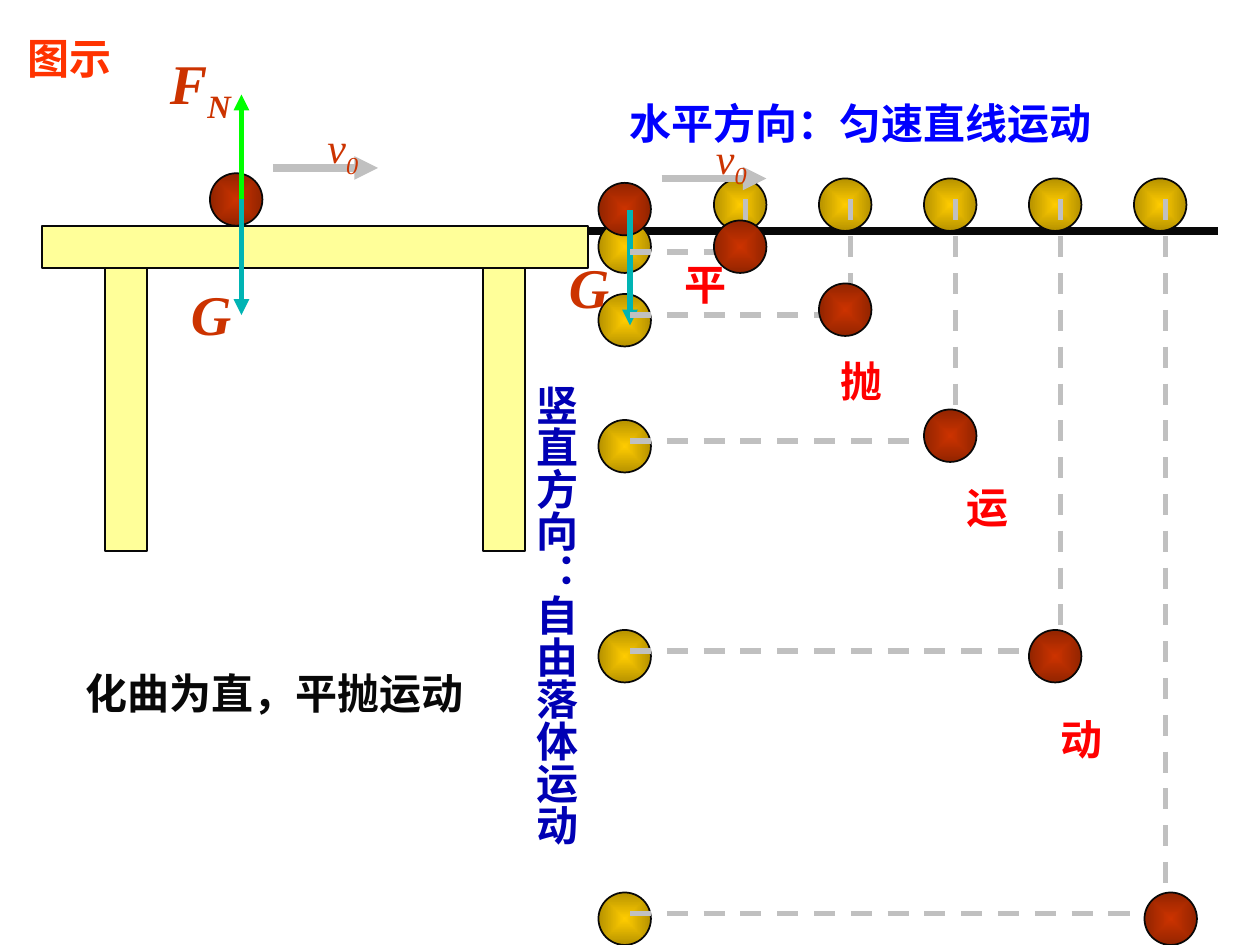
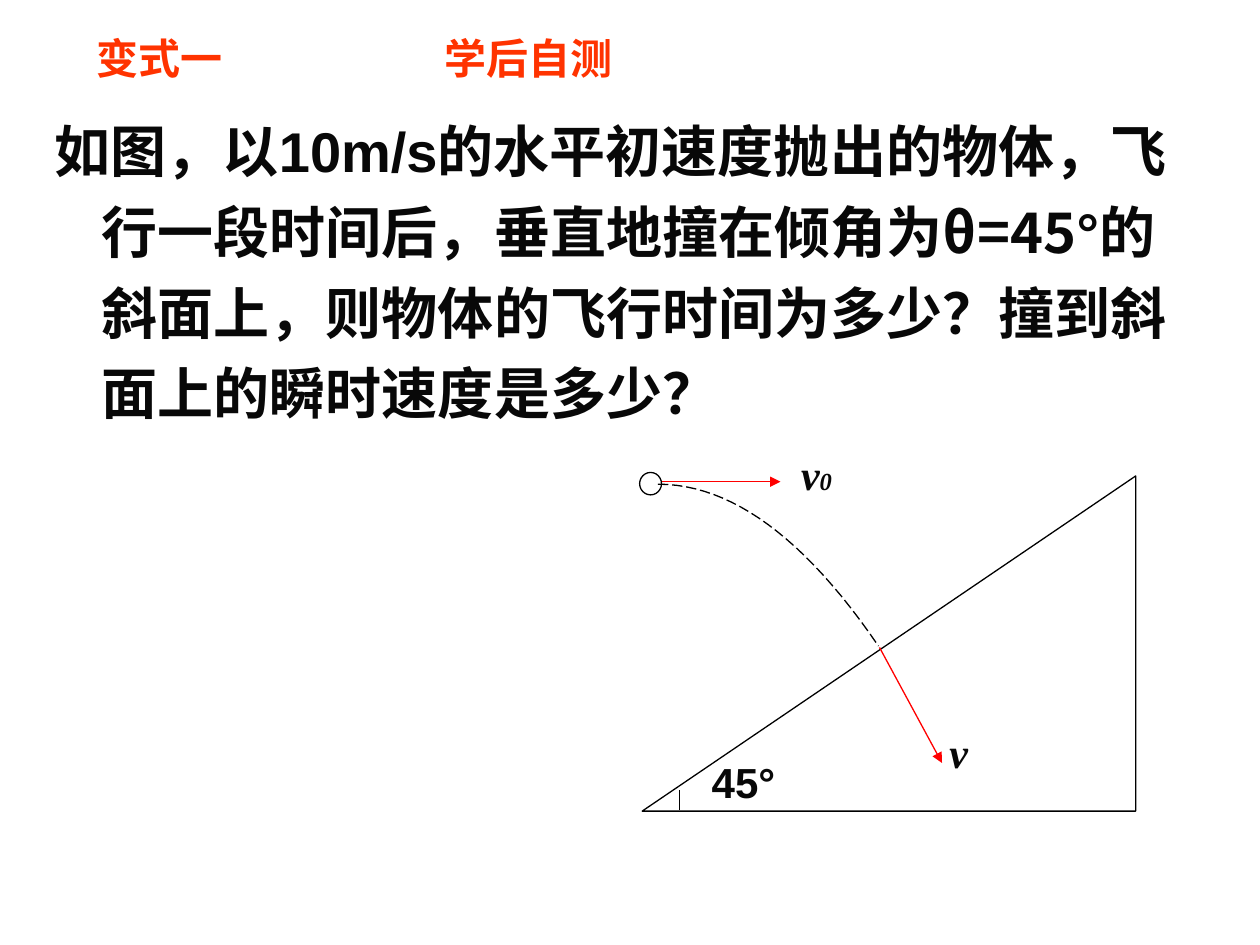
from lxml import etree
from pptx import Presentation
from pptx import util as u
from pptx.dml.color import RGBColor
from pptx.enum import dml, shapes, text
from pptx.oxml.ns import qn

Pt = u.Pt
INK, RED, CRIMSON, TEAL, GREY = "080808", "FF0000", "CC3300", "00B4B4", "C0C0C0"
HEADING, CREAM, WHITE = "FF3300", "FFFF99", "FFFFFF"
RED_BALL, GOLD_BALL = ("CC3300", "922400"), ("FFCC00", "B69200")
SERIF, SANS, HAN = "Times New Roman", "Arial", "Noto Sans CJK SC"
BALL = 30


def rgb(value):
    """Turn a hex string into a colour."""
    return RGBColor.from_string(value)


class Deck:
    """Holds the style and the current slide."""

    def __init__(self):
        """Start a 720 by 540 point presentation."""
        self.prs = Presentation()
        self.prs.slide_width, self.prs.slide_height = Pt(720), Pt(540)

    def slide(self, layout, heading, x, w):
        """Add a slide with its heading in the title placeholder."""
        self.s = self.prs.slides.add_slide(self.prs.slide_layouts[layout])
        self.place(self.s.shapes.title, x, 15, w, 36)
        self.add_runs(self.s.shapes.title.text_frame, [(heading, {})], color=HEADING)

    def place(self, sp, x, y, w, h):
        """Move and size a placeholder."""
        sp.left, sp.top, sp.width, sp.height = Pt(x), Pt(y), Pt(w), Pt(h)

    def add_runs(self, tf, runs, size=24, color=INK, font=SANS, bold=True, italic=False, wrap=True):
        """Fill a text frame run by run, each run with its own overrides."""
        tf.word_wrap = wrap
        tf.auto_size = text.MSO_AUTO_SIZE.NONE
        tf.vertical_anchor = text.MSO_ANCHOR.TOP
        p = tf.paragraphs[0]
        p.alignment = text.PP_ALIGN.LEFT
        p.space_before = Pt(0)
        for words, extra in runs:
            r = p.add_run()
            r.text = words
            r.font.size = Pt(extra.get("size", size))
            r.font.bold, r.font.italic = bold, italic
            r.font.color.rgb = rgb(color)
            r.font.name = extra.get("font", font)
            rPr = r._r.get_or_add_rPr()
            etree.SubElement(rPr, qn("a:ea")).set("typeface", HAN)
            if extra.get("sub"):
                rPr.set("baseline", "-25000")
        return p

    def text(self, x, y, w, h, runs, vertical=False, **style):
        """Add a text box."""
        tf = self.s.shapes.add_textbox(Pt(x), Pt(y), Pt(w), Pt(h)).text_frame
        self.add_runs(tf, runs, **style)
        if vertical:
            tf._txBody.bodyPr.set("vert", "eaVert")

    def symbol(self, x, y, w, letter, sub="", size=32, bold=True):
        """Add a physical quantity with an optional subscript."""
        runs = [(letter, {})] + ([(sub, {"sub": True})] if sub else [])
        self.text(x, y, w, 45 if size == 32 else 36, runs, size=size, color=CRIMSON,
                  font=SERIF, bold=bold, italic=True, wrap=False)

    def shape(self, kind, x, y, w, h, fill, line=INK, width=1):
        """Add a filled and outlined preset shape."""
        sp = self.s.shapes.add_shape(kind, Pt(x), Pt(y), Pt(w), Pt(h))
        sp.shadow.inherit = False
        sp.fill.solid()
        sp.fill.fore_color.rgb = rgb(fill)
        sp.line.color.rgb, sp.line.width = rgb(line), Pt(width)
        return sp

    def ball(self, x, y, tones):
        """Add a ball shaded from its centre to its rim."""
        sp = self.shape(shapes.MSO_SHAPE.OVAL, x, y, BALL, BALL, tones[0])
        sp.fill.gradient()
        for stop, tone in zip(sp.fill.gradient_stops, tones):
            stop.color.rgb = rgb(tone)
        grad = sp._element.spPr.find(qn("a:gradFill"))
        grad.remove(grad.find(qn("a:lin")))
        shade = etree.SubElement(grad, qn("a:path"))
        shade.set("path", "shape")
        rect = etree.SubElement(shade, qn("a:fillToRect"))
        for side in "ltrb":
            rect.set(side, "50000")

    def line(self, x1, y1, x2, y2, color, width, arrow=False, dash=False):
        """Add a straight line, arrow or dashed guide."""
        c = self.s.shapes.add_connector(shapes.MSO_CONNECTOR.STRAIGHT, Pt(x1), Pt(y1), Pt(x2), Pt(y2))
        c.line.color.rgb, c.line.width = rgb(color), Pt(width)
        if dash:
            c.line.dash_style = dml.MSO_LINE.DASH
        spPr = c._element.spPr
        if arrow:
            etree.SubElement(spPr.find(qn("a:ln")), qn("a:tailEnd")).set("type", "triangle")
        etree.SubElement(spPr, qn("a:effectLst"))

    def outline(self, points, close=False, dash=False):
        """Add an unfilled thin black freeform."""
        pts = [(Pt(x), Pt(y)) for x, y in points]
        fb = self.s.shapes.build_freeform(*pts[0])
        fb.add_line_segments(pts[1:], close=close)
        sp = fb.convert_to_shape()
        sp.shadow.inherit = False
        sp.fill.background()
        sp.line.color.rgb, sp.line.width = rgb("000000"), Pt(0.75)
        if dash:
            sp.line.dash_style = dml.MSO_LINE.LONG_DASH


def projectile_slide(d):
    """Build the diagram that splits the motion into two directions."""
    d.slide(5, "图示", 8.6, 94)
    rect = shapes.MSO_SHAPE.RECTANGLE
    d.shape(rect, 24, 129, 312, 24, CREAM)
    d.shape(rect, 276, 153, 24, 162, CREAM)
    d.ball(120, 99, RED_BALL)
    d.shape(rect, 60, 153, 24, 162, CREAM)
    d.line(156, 96, 216, 96, GREY, 4.5, arrow=True)
    d.symbol(180, 66, 33, "v", "0", size=24, bold=False)
    d.line(336, 132, 696, 132, INK, 4.5)
    d.line(138, 114, 138, 180, TEAL, 3, arrow=True)
    d.symbol(102, 156, 37.5, "G")
    d.line(138, 114, 138, 54, "00FF00", 3, arrow=True)
    d.symbol(90, 24, 51, "F", "N")

    for y in (126, 168, 240, 360, 510):
        d.ball(342, y, GOLD_BALL)
    columns = range(408, 649, 60)
    for x in columns:
        d.ball(x, 102, GOLD_BALL)
    d.line(378, 102, 438, 102, GREY, 4.5, arrow=True)
    d.symbol(402, 72, 33, "v", "0", size=24, bold=False)
    d.ball(342, 104.5, RED_BALL)
    d.symbol(318, 140.5, 36, "G")
    d.line(360, 120, 360, 186, TEAL, 3, arrow=True)

    row_ends = (426, 480, 546, 600, 660)
    rows = (144, 180, 252, 372, 522)
    for x, end, y in zip(columns, row_ends, rows):
        d.line(360, y, end, y, GREY, 3, dash=True)
        d.line(x + 18, 114, x + 18, y, GREY, 3, dash=True)
    for x, y in zip((408, 468, 528, 588, 654), (126, 162, 234, 360, 510)):
        d.ball(x, y, RED_BALL)

    d.text(292, 212.5, 43.5, 272, [("竖直方向：自由落体运动", {})], vertical=True,
           color="0000B4", font=SERIF, wrap=False)
    d.text(352.6, 52, 279, 36, [("水平方向：匀速直线运动", {})], color="0000FF", font=SERIF, wrap=False)
    for word, x, y in (("平", 384, 144), ("抛", 473, 199.5), ("运", 545, 271.5), ("动", 599, 404)):
        d.text(x, y, 38, 36, [(word, {})], color=RED, font=SERIF, wrap=False)
    d.text(42, 378, 252, 36, [("化曲为直，平抛运动", {})])


def exercise_slide(d):
    """Build the exercise with the inclined plane."""
    d.slide(1, "变式一", 48, 176)
    body = d.s.placeholders[1]
    d.place(body, 24, 55.5, 664.5, 196.5)
    p = d.add_runs(body.text_frame, [
        ("如图，以10m/s的水平初速度抛出的物体，飞行一段时间后，垂直地撞在倾角为", {}),
        ("θ=45", {"font": HAN}),
        ("°的斜面上，则物体的飞行时间为多少？撞到斜面上的瞬时速度是多少？", {}),
    ], size=32)
    p.line_spacing = 1.2
    pPr = p._p.get_or_add_pPr()
    pPr.set("marL", str(Pt(27)))
    pPr.set("indent", str(Pt(-27)))
    etree.SubElement(pPr, qn("a:buNone"))

    d.outline([(649, 272), (649, 463.5), (367, 463.5)], close=True)
    d.line(377, 275.3, 446, 275.3, RED, 0.75, arrow=True)
    d.shape(shapes.MSO_SHAPE.OVAL, 365.5, 270, 12.5, 12.8, WHITE, "000000", 0.75)
    steps = 24
    d.outline([(376 + 126 * i / steps, 276.7 + 92.5 * (i / steps) ** 2) for i in range(steps + 1)], dash=True)
    d.line(502.6, 370, 538.3, 436, RED, 0.75, arrow=True)
    d.line(388.3, 451.5, 388.3, 463, "000000", 0.75)
    d.text(399.6, 428.5, 80.6, 36, [("45°", {})])
    d.text(535.5, 411.8, 52.5, 36, [("v", {})], font=SERIF, italic=True)
    d.text(450.7, 252.7, 52.5, 36, [("v", {}), ("0", {"size": 14})], font=SERIF, italic=True)
    d.text(247, 15, 272, 36, [("学后自测", {})], color=HEADING)


def main():
    """Build both slides and save them."""
    d = Deck()
    projectile_slide(d)
    exercise_slide(d)
    d.prs.save("out.pptx")


if __name__ == "__main__":
    main()
